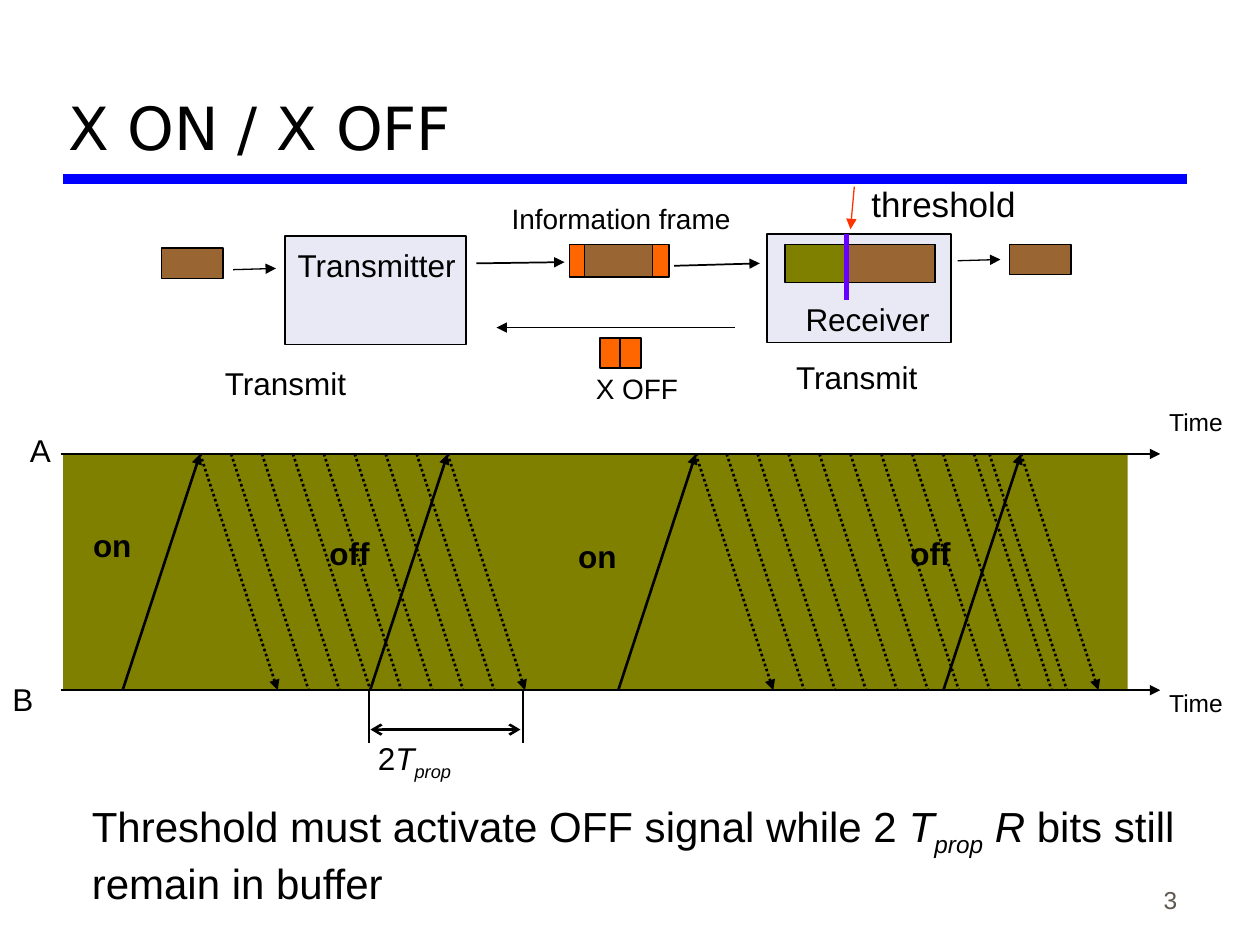
"""Build the X ON / X OFF flow-control slide."""
from lxml.etree import SubElement
from pptx import Presentation
from pptx.dml.color import RGBColor
from pptx.enum.dml import MSO_LINE
from pptx.enum.shapes import MSO_CONNECTOR, MSO_SHAPE
from pptx.enum.text import MSO_ANCHOR, MSO_AUTO_SIZE, PP_ALIGN
from pptx.oxml.ns import qn
from pptx.util import Pt

BLACK = "000000"
OLIVE = "808000"
BROWN = "996633"
ORANGE = "FF6600"
LAVENDER = "E9E9F5"


def color(hex_value):
    return RGBColor.from_string(hex_value)


class SlideBuilder:
    def __init__(self, slide, font="Arial"):
        self.slide = slide
        self.font = font

    def add_runs(self, paragraph, parts, size, ink=BLACK, bold=False, font=None):
        for words, style in parts:
            run = paragraph.add_run()
            run.text = words
            run.font.name = font or self.font
            run.font.size = Pt(size)
            run.font.bold = bold
            run.font.italic = style != ""
            run.font.color.rgb = color(ink)
            if style == "sub":
                run._r.get_or_add_rPr().set("baseline", "-25000")

    def title(self, words, left, top, width, height):
        heading = self.slide.shapes.title
        heading.left, heading.top = Pt(left), Pt(top)
        heading.width, heading.height = Pt(width), Pt(height)
        frame = heading.text_frame
        frame.vertical_anchor = MSO_ANCHOR.BOTTOM
        frame.paragraphs[0].alignment = PP_ALIGN.LEFT
        self.add_runs(frame.paragraphs[0], [(words, "")], 34, font="DejaVu Sans")

    def text(self, parts, left, top, width, height, size=18, align=PP_ALIGN.LEFT,
             wrap=False, anchor=MSO_ANCHOR.TOP, **style):
        box = self.slide.shapes.add_textbox(Pt(left), Pt(top), Pt(width), Pt(height))
        frame = box.text_frame
        frame.word_wrap = wrap
        frame.vertical_anchor = anchor
        if anchor == MSO_ANCHOR.TOP:
            frame.auto_size = MSO_AUTO_SIZE.SHAPE_TO_FIT_TEXT
        frame.paragraphs[0].alignment = align
        if isinstance(parts, str):
            parts = [(parts, "")]
        self.add_runs(frame.paragraphs[0], parts, size, **style)

    def box(self, left, top, width, height, fill, weight=1):
        block = self.slide.shapes.add_shape(
            MSO_SHAPE.RECTANGLE, Pt(left), Pt(top), Pt(width), Pt(height))
        block.shadow.inherit = False
        block.fill.solid()
        block.fill.fore_color.rgb = color(fill)
        if weight:
            block.line.color.rgb = color(BLACK)
            block.line.width = Pt(weight)
        else:
            block.line.fill.background()

    def line(self, x1, y1, x2, y2, weight=1, ink=BLACK, head=None, tail=None, dotted=False):
        stroke = self.slide.shapes.add_connector(
            MSO_CONNECTOR.STRAIGHT, Pt(x1), Pt(y1), Pt(x2), Pt(y2))
        stroke.line.color.rgb = color(ink)
        stroke.line.width = Pt(weight)
        if dotted:
            stroke.line.dash_style = MSO_LINE.ROUND_DOT
        outline = stroke.line._get_or_add_ln()
        for tag, tip in (("a:headEnd", head), ("a:tailEnd", tail)):
            if tip:
                SubElement(outline, qn(tag), type=tip)
        SubElement(stroke._element.spPr, qn("a:effectLst"))

    def arrow(self, x1, y1, x2, y2, weight=1, **style):
        self.line(x1, y1, x2, y2, weight, tail="triangle", **style)


def draw_timeline(builder):
    a_line, b_line = 259.4, 394.4
    travel, spacing = 44.3, 17.67
    first_on, second_on = 114.4, 397.6
    first_off, second_off = 255.8, 583.4

    builder.box(36, a_line, 608.4, b_line - a_line, OLIVE, weight=0)
    for axis in (a_line, b_line):
        builder.arrow(34.6, axis, 663, axis)
    for signal in (first_on, first_off, second_on, second_off):
        builder.arrow(signal - travel, b_line, signal, a_line, 1.5)
        builder.arrow(signal, a_line, signal + travel, b_line, 1.5, dotted=True)
    frames = [first_on + spacing * n for n in range(1, 8)]
    frames += [second_on + spacing * n for n in range(1, 10)] + [565.4]
    for frame in frames:
        builder.line(frame, a_line, frame + travel, b_line, 1.5, dotted=True)

    for state, left, top in (("on", 46.1, 297), ("off", 181.2, 301.7),
                             ("on", 323.3, 303.1), ("off", 513.2, 301.7)):
        builder.text(state, left, top, 39, 28.8, bold=True)
    builder.text("A", 10, 242.6, 26, 28.8)
    builder.text("B", 0, 385.2, 26, 28.8)
    for top in (229, 389.5):
        builder.text("Time", 661, top, 46, 24.5, size=14)

    for limit in (211, 298.8):
        builder.line(limit, 394, limit, 424.8)
    builder.line(211.7, 416.9, 297.4, 416.9, 1.5, head="arrow", tail="arrow")
    builder.text([("2", ""), ("T", "italic"), ("prop", "sub")],
                 208.8, 419, 92.2, 31.7, wrap=True)


def draw_link(builder):
    builder.text("Transmit", 121.4, 204.5, 85, 28.8)
    builder.text("Transmit", 447.8, 200.9, 85, 28.8)

    builder.box(162.7, 135, 103.7, 61.9, LAVENDER)
    builder.box(438.5, 133.9, 105.1, 61.9, LAVENDER)
    builder.box(325.4, 139.7, 56.9, 18.7, ORANGE)
    builder.box(334.1, 139.7, 38.9, 18.7, BROWN)
    for left in (342.7, 354.4):
        builder.box(left, 193, 11.9, 17.3, ORANGE)
    builder.box(448.6, 139.7, 85.7, 21.6, OLIVE, 0.75)
    builder.box(484.6, 139.7, 49.7, 21.6, BROWN, 0.75)
    for left, top in ((92.2, 141.8), (576.7, 139.7)):
        builder.box(left, top, 35.3, 17.3, BROWN, 0.75)

    builder.arrow(272.2, 150.5, 322.6, 149.8)
    builder.arrow(385.2, 151.9, 434.2, 150.5)
    builder.arrow(419.8, 187.2, 283.7, 187.2)
    builder.arrow(133.2, 154.1, 157.7, 153.4, 0.75)
    builder.arrow(547.2, 149, 571.7, 148.3, 0.75)
    builder.arrow(488.2, 106.6, 486, 131, 0.75, ink="FF3300")
    builder.line(483.8, 133.9, 483.8, 171.4, 3, ink="6600FF")

    centre = PP_ALIGN.CENTER
    builder.text("Information frame", 270.7, 111.6, 168.5, 25.9, 16, centre, wrap=True)
    builder.text("X OFF", 288, 208.8, 151.9, 25.9, 16, centre, wrap=True)
    builder.text("Transmitter", 162.2, 137.2, 106, 28.8, align=centre)
    builder.text("Receiver", 452.3, 167.8, 87, 28.8, align=centre)
    builder.text("threshold", 489.2, 100.8, 100, 31.7, 20, centre)


def main():
    deck = Presentation()
    deck.slide_width, deck.slide_height = Pt(720), Pt(540)
    builder = SlideBuilder(deck.slides.add_slide(deck.slide_layouts[5]))

    builder.line(36, 102.2, 678.2, 102.2, 6, ink="0000FF")
    builder.text("3", 529.9, 490.3, 149.8, 36, 14, PP_ALIGN.RIGHT, wrap=True,
                 anchor=MSO_ANCHOR.BOTTOM, ink="5E574E")
    draw_timeline(builder)
    builder.title("X ON / X OFF", 31.7, 12.2, 645.8, 84.2)
    draw_link(builder)
    builder.text([("Threshold must activate OFF signal while 2 ", ""), ("T", "italic"),
                  ("prop", "sub"), (" R", "italic"), (" bits still remain in buffer", "")],
                 45.4, 453.9, 637.9, 69.1, 24, wrap=True)
    deck.save("out.pptx")


if __name__ == "__main__":
    main()
